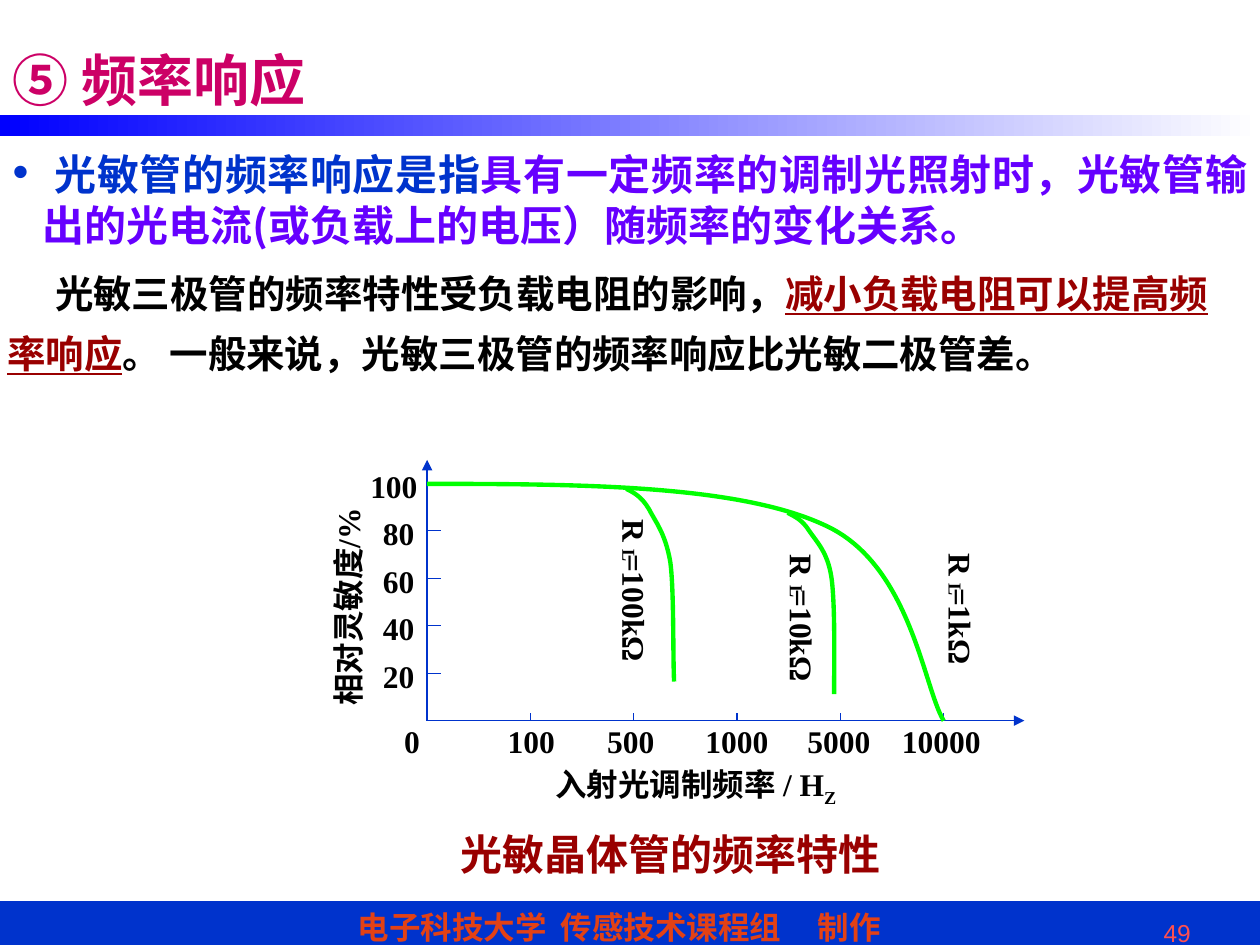
from dataclasses import dataclass

from lxml.etree import SubElement
from pptx import Presentation
from pptx.dml.color import RGBColor
from pptx.enum.shapes import MSO_CONNECTOR, MSO_SHAPE
from pptx.enum.text import MSO_ANCHOR, MSO_AUTO_SIZE, PP_ALIGN
from pptx.oxml.ns import qn
from pptx.util import Inches, Pt

COLORS = {
    "blue": "0033CC", "gradient": "0000FF", "white": "FFFFFF", "magenta": "CC0066",
    "violet": "6600FF", "black": "000000", "dark_red": "990000", "green": "00FF00",
    "orange": "E34115", "coral": "FF5050",
}
SERIF, SANS, CHINESE = "Times New Roman", "Arial", "Noto Sans CJK SC"
ORIGIN_X, ORIGIN_Y = 3.39, 5.72
STEP_X, STEP_Y = 0.82, 0.377

Point = tuple[float, float]


@dataclass(frozen=True)
class Span:
    text: str
    color: str = ""
    font: str = ""
    size: float = 0
    underline: bool = False
    subscript: bool = False


@dataclass(frozen=True)
class Label:
    spans: tuple[Span, ...]
    left: float
    top: float
    width: float = 0.79
    height: float = 0.32
    size: float = 18
    color: str = "black"
    font: str = SERIF
    bold: bool = True
    align: PP_ALIGN = PP_ALIGN.LEFT
    vertical: bool = False
    rotation: int = 0


@dataclass(frozen=True)
class Curve:
    """A start point followed by Bezier segments of three points each."""
    start: Point
    segments: tuple[tuple[Point, Point, Point], ...]


def rgb(name: str) -> RGBColor:
    return RGBColor.from_string(COLORS[name])


def style(paragraph, size: float, color: str, font: str, bold: bool = True) -> None:
    paragraph.font.size = Pt(size)
    paragraph.font.bold = bold
    paragraph.font.name = font
    paragraph.font.color.rgb = rgb(color)


def write(paragraph, spans: tuple[Span, ...]) -> None:
    for span in spans:
        run = paragraph.add_run()
        run.text = span.text
        if span.color:
            run.font.color.rgb = rgb(span.color)
        if span.font:
            run.font.name = span.font
        if span.size:
            run.font.size = Pt(span.size)
        if span.underline:
            run.font.underline = True
        if span.subscript:
            run.font._element.set("baseline", "-25000")


def place(shape, left: float, top: float, width: float, height: float) -> None:
    shape.left, shape.top = Inches(left), Inches(top)
    shape.width, shape.height = Inches(width), Inches(height)


def add_label(parent, label: Label):
    box = parent.shapes.add_textbox(Inches(label.left), Inches(label.top),
                                    Inches(label.width), Inches(label.height))
    box.rotation = label.rotation
    frame = box.text_frame
    frame.word_wrap = True
    if label.vertical:
        frame._txBody.bodyPr.set("vert", "eaVert")
        frame.margin_left = frame.margin_right = Inches(0.05)
        frame.margin_top = frame.margin_bottom = Inches(0.1)
    paragraph = frame.paragraphs[0]
    paragraph.alignment = label.align
    style(paragraph, label.size, label.color, label.font, label.bold)
    write(paragraph, label.spans)
    return box


def add_line(parent, start: Point, end: Point, arrow: bool = False) -> None:
    line = parent.shapes.add_connector(MSO_CONNECTOR.STRAIGHT, *map(Inches, start + end))
    line.line.color.rgb = rgb("blue")
    line.line.width = Pt(0.75)
    if arrow:
        SubElement(line.line._get_or_add_ln(), qn("a:tailEnd"), type="triangle")
    SubElement(line._element.spPr, qn("a:effectLst"))


def add_curve(parent, curve: Curve) -> None:
    """Outline the control points, then join each three into one Bezier segment."""
    points = [(Inches(x), Inches(y)) for segment in curve.segments for x, y in segment]
    builder = parent.shapes.build_freeform(*map(Inches, curve.start), scale=1.0)
    builder.add_line_segments(points, close=False)
    shape = builder.convert_to_shape()
    corners = list(shape._element.iter(qn("a:lnTo")))
    outline = corners[0].getparent()
    for first in range(0, len(corners), 3):
        segment = SubElement(outline, qn("a:cubicBezTo"))
        for corner in corners[first:first + 3]:
            segment.append(corner[0])
            outline.remove(corner)
    shape.fill.background()
    shape.line.color.rgb = rgb("green")
    shape.line.width = Pt(2.5)
    shape.shadow.inherit = False


def add_bars(page) -> None:
    """Draw the footer bar and the fading bar below the title."""
    footer = page.shapes.add_shape(MSO_SHAPE.RECTANGLE, 0, Inches(7.16), Inches(10), Inches(0.4))
    footer.fill.solid()
    footer.fill.fore_color.rgb = rgb("blue")
    footer.line.color.rgb = rgb("blue")
    footer.line.width = Pt(0.75)
    footer.shadow.inherit = False
    frame = footer.text_frame
    frame.vertical_anchor = MSO_ANCHOR.TOP
    frame.margin_left = Inches(2.84)
    paragraph = frame.paragraphs[0]
    paragraph.alignment = PP_ALIGN.LEFT
    tabs = SubElement(paragraph._p.get_or_add_pPr(), qn("a:tabLst"))
    for position in (1.61, 3.65):
        SubElement(tabs, qn("a:tab"), pos=str(Inches(position)), algn="l")
    style(paragraph, 18, "orange", SANS)
    write(paragraph, (Span("电子科技大学\t传感技术课程组\t制作"),))

    rule = page.shapes.add_shape(MSO_SHAPE.RECTANGLE, 0, Inches(0.91), Inches(10), Inches(0.17))
    rule.fill.gradient()
    rule.fill.gradient_angle = 0
    for stop, color, position in zip(rule.fill.gradient_stops, ("gradient", "white"), (0, 1)):
        stop.color.rgb = rgb(color)
        stop.position = position
    rule.line.fill.background()
    rule.shadow.inherit = False


def fill_placeholders(page) -> None:
    title, body = page.shapes.title, page.placeholders[1]
    place(title, 0, 0, 8.5, 1.25)
    place(body, 0, 1.07, 10, 0.94)
    for shape in (title, body):
        shape.text_frame.auto_size = MSO_AUTO_SIZE.NONE
    title.text_frame.vertical_anchor = MSO_ANCHOR.MIDDLE
    heading = title.text_frame.paragraphs[0]
    heading.alignment = PP_ALIGN.LEFT
    style(heading, 32, "magenta", SANS)
    write(heading, (Span("⑤ "), Span("频率响应", font=CHINESE)))

    body.text_frame.margin_top = Inches(0.08)
    item = body.text_frame.paragraphs[0]
    item.alignment = PP_ALIGN.JUSTIFY
    item.space_before = Pt(0)
    properties = item._p.get_or_add_pPr()
    properties.set("marL", str(Inches(0.24)))
    properties.set("indent", str(-Inches(0.24)))
    bullet_color = SubElement(properties, qn("a:buClr"))
    SubElement(bullet_color, qn("a:srgbClr"), val=COLORS["blue"])
    SubElement(properties, qn("a:buChar"), char="•")
    style(item, 24, "blue", CHINESE)
    write(item, (Span(" ", size=26), Span("光敏管的频率响应是指"), Span(
        "具有一定频率的调制光照射时，光敏管输出的光电流(或负载上的电压）随频率的变化关系。", "violet")))


def add_explanation(page) -> None:
    box = add_label(page, Label((
        Span("光敏三极管的频率特性受负载电阻的影响，"),
        Span("减小负载电阻可以提高频率响应", "dark_red", underline=True),
        Span("。 一般来说，光敏三极管的频率响应比光敏二极管差。"),
    ), -0.04, 1.94, 10, 1.1, size=22))
    box.text_frame.margin_top = Inches(0.09)
    paragraph = box.text_frame.paragraphs[0]
    paragraph.line_spacing = 1.3
    paragraph._p.get_or_add_pPr().set("indent", str(Inches(0.38)))


def add_response_plot(page) -> None:
    plot = page.shapes.add_group_shape()
    add_line(plot, (ORIGIN_X, ORIGIN_Y), (ORIGIN_X, 3.65), arrow=True)
    add_line(plot, (ORIGIN_X, ORIGIN_Y), (8.13, ORIGIN_Y), arrow=True)
    for i in range(1, 6):
        x, y = ORIGIN_X + i * STEP_X, ORIGIN_Y - i * STEP_Y
        add_line(plot, (ORIGIN_X, y), (ORIGIN_X + 0.11, y))
        add_line(plot, (x, ORIGIN_Y - 0.06), (x, ORIGIN_Y))
        left = 2.84 if i == 5 else 2.94
        add_label(plot, Label((Span(str(20 * i)),), left, 5.54 - i * STEP_Y))

    for curve in (
        Curve((3.39, 3.84), (((4.63, 3.84), (5.87, 3.85), (6.55, 4.17)),
                             ((7.23, 4.48), (7.33, 5.46), (7.49, 5.72)))),
        Curve((6.25, 4.07), (((6.31, 4.1), (6.37, 4.13), (6.42, 4.21)),
                             ((6.48, 4.3), (6.57, 4.38), (6.6, 4.59)),
                             ((6.63, 4.81), (6.62, 5.32), (6.62, 5.51)))),
        Curve((4.97, 3.88), (((5.03, 3.91), (5.09, 3.94), (5.15, 4.04)),
                             ((5.2, 4.14), (5.28, 4.23), (5.32, 4.46)),
                             ((5.35, 4.68), (5.34, 5.21), (5.35, 5.41)))),
    ):
        add_curve(plot, curve)

    for text, left, width in (("0", 3.11, 0.74), ("100", 3.93, 0.79), ("500", 4.72, 0.79),
                              ("1000", 5.5, 0.79), ("5000", 6.31, 0.94), ("10000", 7.06, 1.11)):
        add_label(plot, Label((Span(text),), left, 5.68, width))
    for load, left, top in (("1kΩ", 7.07, 4.29), ("10kΩ", 5.81, 4.3), ("100kΩ", 4.48, 4.02)):
        add_label(plot, Label((Span("R"), Span("L", subscript=True), Span("=" + load)), left, top,
                              0.76, 1.46, align=PP_ALIGN.CENTER, vertical=True))
    add_label(plot, Label((Span("入射光调制频率 / H"), Span("Z", subscript=True)),
                          4.31, 6.02, 2.75, 0.46))
    add_label(plot, Label((Span("相对灵敏度/%"),), 1.66, 4.26, 2.34, 0.54, rotation=270))
    add_label(plot, Label((Span("光敏晶体管的频率特性"),), 3.56, 6.53, 4.75,
                          size=24, color="dark_red"))


def main() -> None:
    deck = Presentation()
    deck.slide_width, deck.slide_height = Inches(10), Inches(7.5)
    page = deck.slides.add_slide(deck.slide_layouts[1])
    add_bars(page)
    fill_placeholders(page)
    add_label(page, Label((Span("49"),), 7.05, 7.24, 2.5, 0.26, size=14, color="coral",
                          font=SANS, bold=False, align=PP_ALIGN.RIGHT))
    add_response_plot(page)
    add_explanation(page)
    deck.save("out.pptx")


if __name__ == "__main__":
    main()
